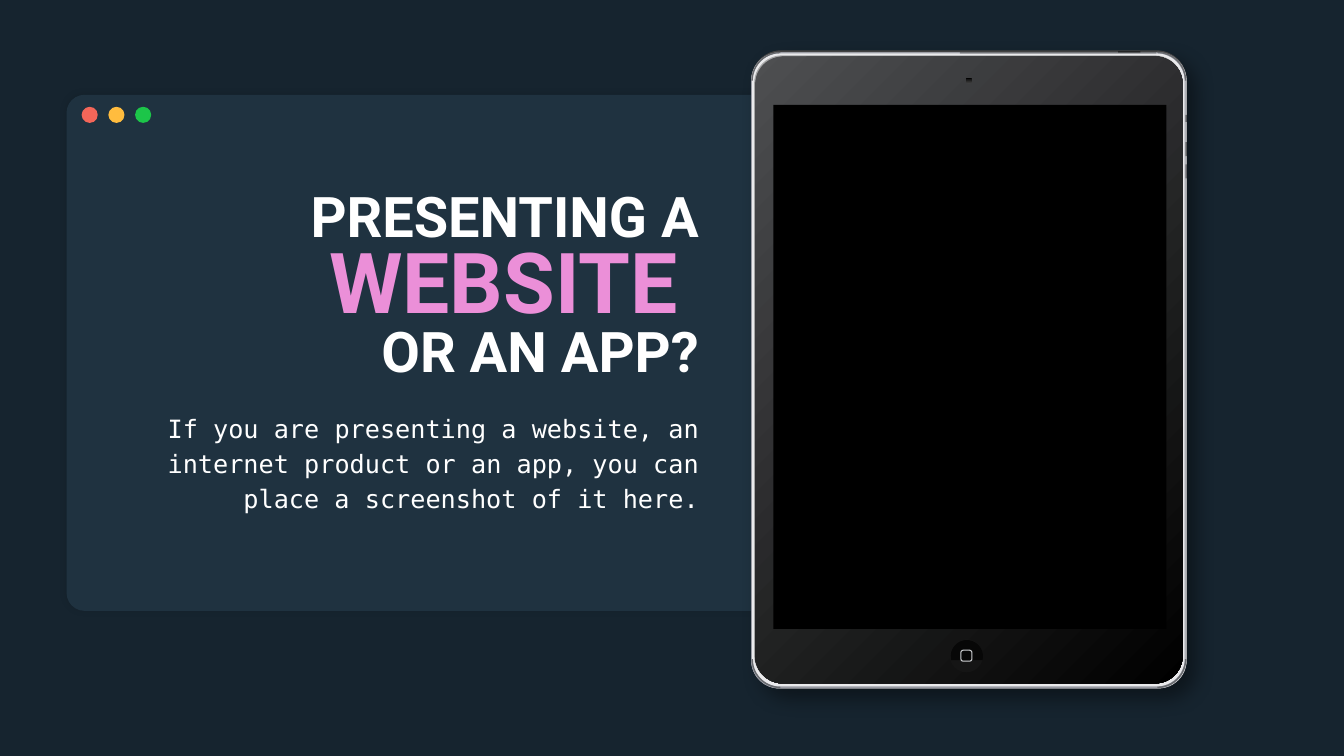
from math import cos, radians, sin

from lxml import etree
from pptx import Presentation
from pptx.dml.color import RGBColor
from pptx.enum.shapes import MSO_SHAPE
from pptx.enum.text import MSO_ANCHOR, PP_ALIGN
from pptx.oxml.ns import qn
from pptx.util import Inches, Pt

RECT = MSO_SHAPE.RECTANGLE
ROUND = MSO_SHAPE.ROUNDED_RECTANGLE
OVAL = MSO_SHAPE.OVAL
ARC = MSO_SHAPE.ARC
RIGHT = PP_ALIGN.RIGHT
TOP, BOTTOM = MSO_ANCHOR.TOP, MSO_ANCHOR.BOTTOM


def rgb(color):
    return RGBColor.from_string(color)


class Deck:
    head = "Roboto"
    mono = "DejaVu Sans Mono"
    white = "FFFFFF"

    def __init__(self):
        self.prs = Presentation()
        self.prs.slide_width = Inches(13.33)
        self.prs.slide_height = Inches(7.5)
        self.slide = self.prs.slides.add_slide(self.prs.slide_layouts[6])
        self.slide.background.fill.solid()
        self.slide.background.fill.fore_color.rgb = rgb("16242F")

    def paint(self, item, fill=None, line=None, width=1):
        item.shadow.inherit = False
        if fill is None:
            item.fill.background()
        else:
            item.fill.solid()
            item.fill.fore_color.rgb = rgb(fill)
        if line is None:
            item.line.fill.background()
        else:
            item.line.color.rgb = rgb(line)
            item.line.width = Pt(width)
        return item

    def shape(self, kind, box, fill=None, line=None, width=1, adj=None):
        item = self.slide.shapes.add_shape(kind, *[Inches(v) for v in box])
        if adj is not None:
            item.adjustments[0] = adj
        return self.paint(item, fill, line, width)

    def outline(self, points, fill):
        points = [(Inches(x), Inches(y)) for x, y in points]
        form = self.slide.shapes.build_freeform(*points[0])
        form.add_line_segments(points[1:])
        return self.paint(form.convert_to_shape(), fill)

    def shadow(self, item, alpha, blur, dist, angle):
        effects = item._element.spPr.find(qn("a:effectLst"))
        outer = etree.SubElement(effects, qn("a:outerShdw"), blurRad=str(Pt(blur)),
                                 dist=str(Pt(dist)), dir=str(angle * 60000),
                                 algn="bl", rotWithShape="0")
        color = etree.SubElement(outer, qn("a:srgbClr"), val="000000")
        etree.SubElement(color, qn("a:alpha"), val=str(alpha * 1000))

    def blend(self, item, colors, angle):
        item.fill.gradient()
        item.fill.gradient_angle = angle
        for stop, color in zip(item.fill.gradient_stops, colors):
            stop.color.rgb = rgb(color)

    def text(self, box, lines, font, space, anchor, bold=False):
        frame = self.slide.shapes.add_textbox(*[Inches(v) for v in box]).text_frame
        frame.word_wrap = True
        frame.vertical_anchor = anchor
        frame.margin_left = frame.margin_right = Inches(0.13)
        frame.margin_top = frame.margin_bottom = Inches(0.13)
        for i, runs in enumerate(lines):
            para = frame.add_paragraph() if i else frame.paragraphs[0]
            para.alignment = RIGHT
            para.line_spacing = space
            para.font.name = font
            para.font.bold = bold
            for words, size, color in runs:
                run = para.add_run()
                run.text = words
                run.font.size = Pt(size)
                run.font.color.rgb = rgb(color)

    def window(self):
        card = self.shape(ROUND, (0.66, 0.94, 7.58, 5.12), "1F3240", adj=0.035)
        self.shadow(card, 10, 5, 0, 0)
        for i, color in enumerate(("F46659", "FFBC3E", "1CC549")):
            self.shape(OVAL, (0.81 + i * 0.265, 1.06, 0.16, 0.16), color)

    def tablet(self):
        body = self.shape(ROUND, (7.47, 0.52, 4.28, 6.29), "262626", "434343", 3, 0.065)
        self.shadow(body, 40, 14, 9, 45)
        for box, color in (((7.45, 0.52, 4.32, 6.31), "DCDDE0"),
                           ((7.45, 0.52, 4.31, 6.31), "989AA3"),
                           ((7.46, 0.53, 4.29, 6.28), "EAEAEC"),
                           ((7.48, 0.55, 4.25, 6.23), "A6A7A7")):
            self.shape(ROUND, box, color, adj=0.065)
        face = self.shape(ROUND, (7.49, 0.56, 4.24, 6.22), "262626", adj=0.065)
        self.blend(face, ("4E4F51", "000000"), 315)
        for turn, x, y in ((0, 11.2, 0.52), (90, 11.2, 6.26),
                           (180, 7.46, 6.26), (270, 7.46, 0.52)):
            self.shape(ARC, (x, y, 0.56, 0.56), line="686A6E").rotation = turn
        self.shape(RECT, (9.52, 0.52, 1.95, 0.01), "5D5E61")
        self.shape(RECT, (11.09, 0.51, 0.22, 0.01), "141414")
        for y, height, color in ((1.14, 0.07, "353537"), (1.41, 0.14, "393A3B"),
                                 (1.63, 0.14, "444448")):
            self.shape(RECT, (11.76, y, 0.01, height), color)
        self.shape(RECT, (7.67, 1.04, 3.9, 5.2), "000000")
        lens = self.shape(OVAL, (9.58, 0.77, 0.06, 0.06), "010101")
        self.blend(lens, ("424242", "010101"), 90)
        self.shape(OVAL, (9.42, 6.34, 0.33, 0.33), "151515")
        angles = [radians(a) for a in range(-194, 15, 8)]
        self.outline([(9.59 + 0.16 * cos(a), 6.51 + 0.16 * sin(a)) for a in angles],
                     "070707")
        self.shape(ROUND, (9.53, 6.45, 0.11, 0.11), line="CCCED1", width=0.75, adj=0.22)


def main():
    deck = Deck()
    deck.window()
    deck.tablet()
    deck.text((0.96, 1.77, 6.1, 2.16),
              [[("PRESENTING A ", 40, deck.white), ("WEBSITE ", 60, "EB8FD8")],
               [("OR AN APP?", 40, deck.white)]],
              deck.head, 0.8, BOTTOM, True)
    deck.text((0.96, 3.93, 6.1, 1.86),
              [[("If you are presenting a website, an internet product or an app, "
                 "you can place a screenshot of it here.", 18, deck.white)]],
              deck.mono, 1.15, TOP)
    deck.prs.save("out.pptx")


if __name__ == "__main__":
    main()
